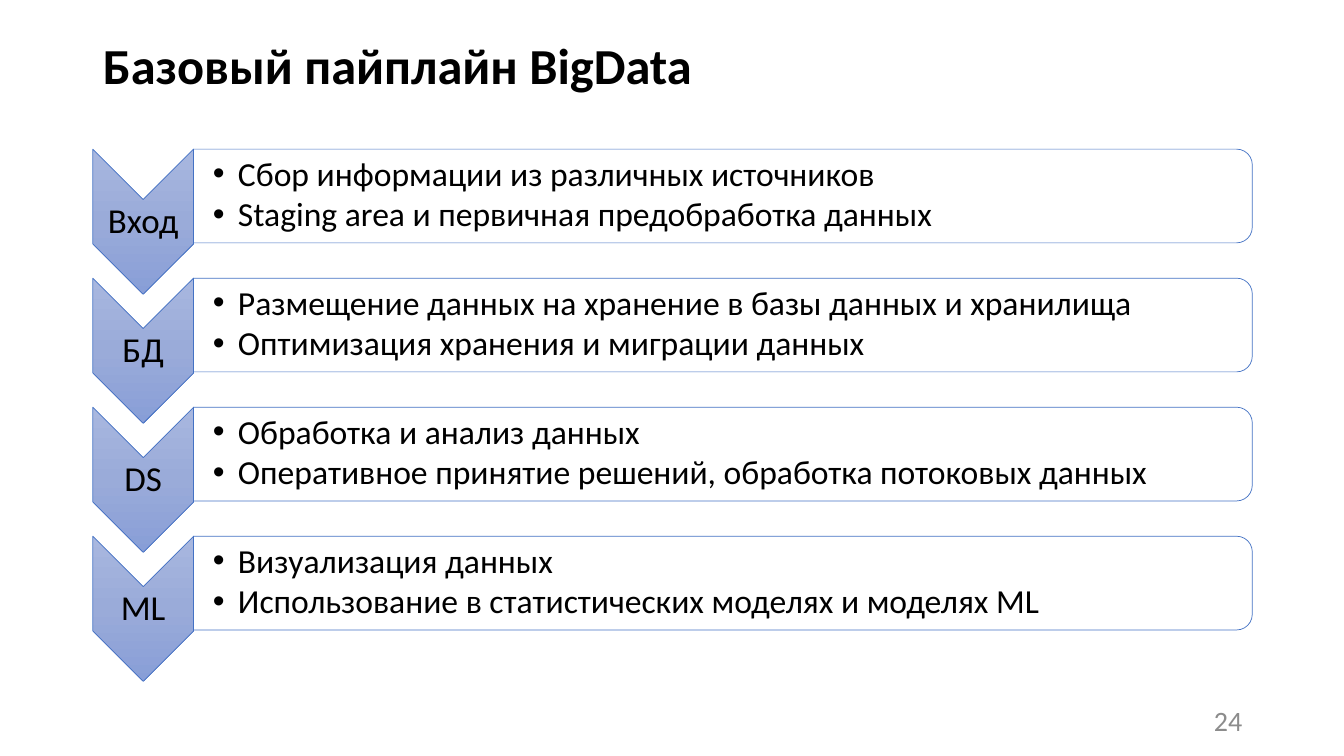
from lxml import etree
from pptx import Presentation
from pptx import util as u
from pptx.dml.color import RGBColor
from pptx.enum import shapes, text
from pptx.oxml import parse_xml
from pptx.oxml.ns import nsdecls, qn

FONT = "Calibri"
BLACK, WHITE, BLUE, GRAY = "000000", "FFFFFF", "4472C4", "8C8C8C"
CHEVRON_STOPS = [(0, "A8B7DF"), (50, "9AABD9"), (100, "889ED7")]
STAGES = [
    ("Вход", ["Сбор информации из различных источников",
              "Staging area и первичная предобработка данных"]),
    ("БД", ["Размещение данных на хранение в базы данных и хранилища",
            "Оптимизация хранения и миграции данных"]),
    ("DS", ["Обработка и анализ данных",
            "Оперативное принятие решений, обработка потоковых данных"]),
    ("ML", ["Визуализация данных",
            "Использование в статистических моделях и моделях ML"]),
]
STAGE_PITCH = 1.28
CHEVRON_WIDTH, CHEVRON_HEIGHT, PANEL_HEIGHT = 1, 1.44, 0.93


def color(value):
    return RGBColor.from_string(value)


def add_run(paragraph, wording, size, fill=BLACK, bold=False):
    run = paragraph.add_run()
    run.text = wording
    run.font.name = FONT
    run.font.size = u.Pt(size)
    run.font.bold = bold
    run.font.color.rgb = color(fill)


def add_text_frame(slide, left, top, width, height, inset=None, left_inset=None):
    box = slide.shapes.add_textbox(*map(u.Inches, (left, top, width, height)))
    frame = box.text_frame
    frame.word_wrap = True
    frame.vertical_anchor = text.MSO_ANCHOR.MIDDLE
    if inset is not None:
        frame.margin_top = frame.margin_bottom = u.Inches(inset)
        frame.margin_right = u.Inches(inset)
        frame.margin_left = u.Inches(inset if left_inset is None else left_inset)
    return frame


def add_turned_shape(slide, kind, left, top, width, height):
    """Add a shape turned by 90 degrees that fills the given visible box."""
    shift = (width - height) / 2
    shape = slide.shapes.add_shape(
        kind, *map(u.Inches, (left + shift, top - shift, height, width)))
    shape.rotation = 90
    shape.shadow.inherit = False
    shape.line.color.rgb = color(BLUE)
    shape.line.width = u.Pt(0.5)
    return shape


def fill_gradient(shape, stops):
    """Fill from top to bottom of the slide, whatever the shape's rotation."""
    stop_xml = "".join(
        f'<a:gs pos="{position * 1000}"><a:srgbClr val="{value}"/></a:gs>'
        for position, value in stops)
    gradient = parse_xml(
        f'<a:gradFill {nsdecls("a")} rotWithShape="0"><a:gsLst>{stop_xml}</a:gsLst>'
        '<a:lin ang="5400000" scaled="0"/></a:gradFill>')
    shape.element.spPr.find(qn("a:prstGeom")).addnext(gradient)


def fill_translucent(shape, value, percent):
    shape.fill.solid()
    shape.fill.fore_color.rgb = color(value)
    solid_color = shape.element.spPr.find(qn("a:solidFill")).find(qn("a:srgbClr"))
    etree.SubElement(solid_color, qn("a:alpha"), val=str(percent * 1000))


def add_bullet(paragraph):
    properties = paragraph._p.get_or_add_pPr()
    properties.set("marL", str(u.Inches(0.25)))
    properties.set("indent", str(u.Inches(-0.25)))
    etree.SubElement(properties, qn("a:buFont"), typeface="Arial")
    etree.SubElement(properties, qn("a:buChar"), char="•")


def add_chevron(slide, label, left, top):
    chevron = add_turned_shape(slide, shapes.MSO_SHAPE.CHEVRON, left, top,
                               CHEVRON_WIDTH, CHEVRON_HEIGHT)
    fill_gradient(chevron, CHEVRON_STOPS)
    frame = add_text_frame(slide, left, top + 0.51, CHEVRON_WIDTH, 0.43, 0.02)
    paragraph = frame.paragraphs[0]
    paragraph.alignment = text.PP_ALIGN.CENTER
    paragraph.line_spacing = 0.9
    add_run(paragraph, label, 25)


def add_panel(slide, points, left, top, width):
    panel = add_turned_shape(slide, shapes.MSO_SHAPE.ROUND_2_SAME_RECTANGLE,
                             left, top, width, PANEL_HEIGHT)
    fill_translucent(panel, WHITE, 90)
    frame = add_text_frame(slide, left, top + 0.04, width - 0.05,
                           PANEL_HEIGHT - 0.09, 0.02, left_inset=0.19)
    for index, point in enumerate(points):
        paragraph = frame.add_paragraph() if index else frame.paragraphs[0]
        paragraph.level = 1
        add_bullet(paragraph)
        paragraph.line_spacing = 0.9
        paragraph.space_after = u.Pt(3)
        add_run(paragraph, point, 24)


def add_pipeline(slide, left, top, width):
    for index, (label, points) in enumerate(STAGES):
        stage_top = top + index * STAGE_PITCH
        add_chevron(slide, label, left, stage_top)
        add_panel(slide, points, left + CHEVRON_WIDTH, stage_top,
                  width - CHEVRON_WIDTH)


def set_title(slide, wording, left, top, width, height):
    title = slide.shapes.title
    title.left, title.top = u.Inches(left), u.Inches(top)
    title.width, title.height = u.Inches(width), u.Inches(height)
    frame = title.text_frame
    frame.auto_size = text.MSO_AUTO_SIZE.NONE
    frame.vertical_anchor = text.MSO_ANCHOR.MIDDLE
    paragraph = frame.paragraphs[0]
    paragraph.alignment = text.PP_ALIGN.LEFT
    paragraph.line_spacing = 0.9
    add_run(paragraph, wording, 36, bold=True)


def add_page_number(slide, number, left, top, width, height):
    paragraph = add_text_frame(slide, left, top, width, height).paragraphs[0]
    paragraph.alignment = text.PP_ALIGN.RIGHT
    add_run(paragraph, number, 20, GRAY)


def main():
    presentation = Presentation()
    presentation.slide_width = u.Inches(13.33)
    presentation.slide_height = u.Inches(7.5)
    slide = presentation.slides.add_slide(presentation.slide_layouts[5])
    set_title(slide, "Базовый пайплайн BigData", 0.92, 0.08, 11.5, 1.2)
    add_pipeline(slide, 0.92, 1.48, 11.5)
    add_page_number(slide, "24", 9.42, 6.95, 3, 0.4)
    presentation.save("out.pptx")


if __name__ == "__main__":
    main()
